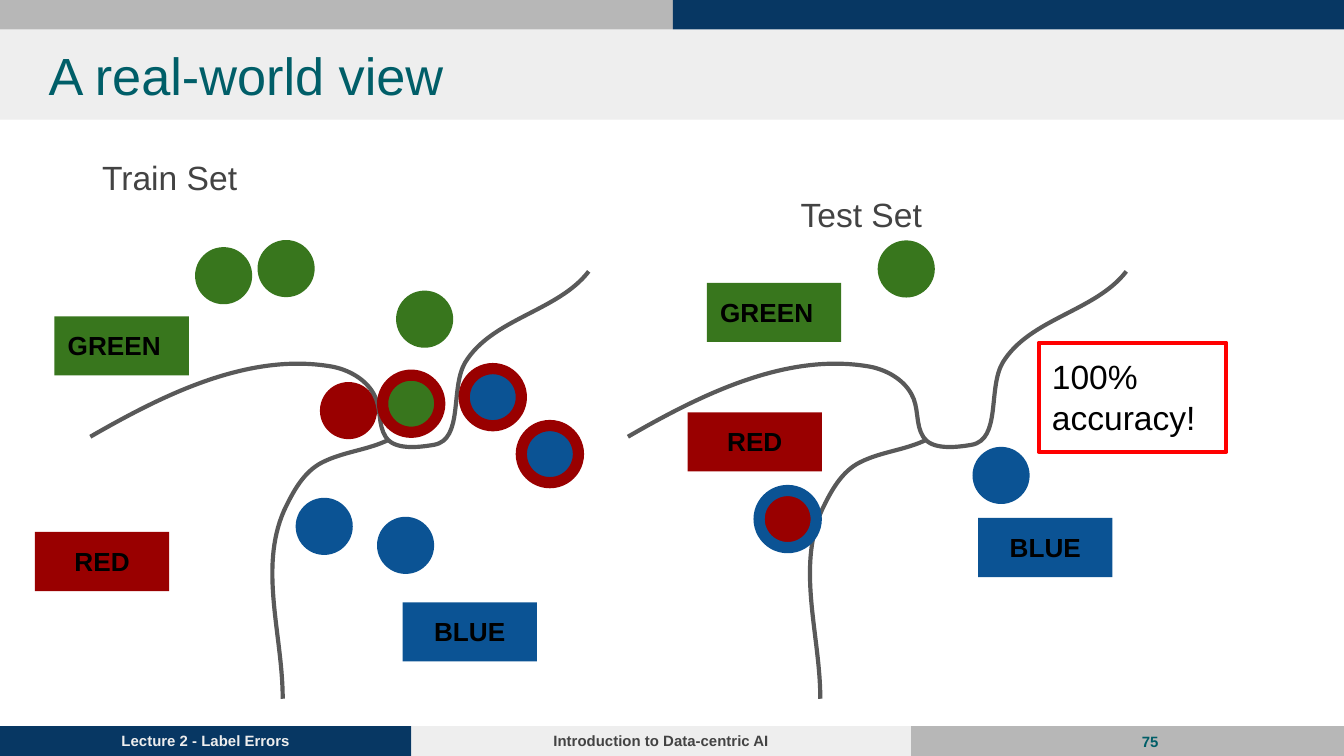
from dataclasses import dataclass

from lxml.etree import SubElement
from pptx import Presentation
from pptx.dml.color import RGBColor
from pptx.enum.shapes import MSO_SHAPE
from pptx.enum.text import MSO_ANCHOR, PP_ALIGN
from pptx.oxml.ns import qn
from pptx.util import Pt

RECT, OVAL = MSO_SHAPE.RECTANGLE, MSO_SHAPE.OVAL
TOP, MIDDLE = MSO_ANCHOR.TOP, MSO_ANCHOR.MIDDLE
LEFT, CENTER, RIGHT = PP_ALIGN.LEFT, PP_ALIGN.CENTER, PP_ALIGN.RIGHT


@dataclass(frozen=True)
class Theme:
    font: str = "Arial"
    navy: str = "073763"
    silver: str = "B7B7B7"
    pale: str = "EEEEEE"
    teal: str = "005E68"
    body: str = "434343"
    curve: str = "595959"
    black: str = "000000"
    alert: str = "FF0000"
    green: str = "38761D"
    red: str = "990000"
    blue: str = "0B5394"
    title_size: float = 28
    body_size: float = 18
    label_size: float = 14
    footer_size: float = 8


THEME = Theme()
DOT = 30.6
RING = 6
PANEL_SHIFT = 288
UPPER_EXTENT = ((48.4, 145.4), (315.4, 239.6))
UPPER_BOUNDARY = [
    (48.4, 234), (87.1, 211.7), (133.2, 188.6), (177.8, 196.4),
    (186.5, 198), (195.8, 203), (200.2, 211),
    (204.5, 218.2), (202.3, 227.5), (206.6, 234),
    (211, 241.2), (223.9, 239.8), (232.6, 238.3),
    (248.4, 235.4), (241.2, 208.1), (249.1, 194.4),
    (263.5, 170.6), (298.8, 167), (315.4, 145.4),
]
LOWER_EXTENT = ((145.7, 235.4), (208.8, 374.4))
LOWER_BOUNDARY = [
    (208.8, 235.4), (197.3, 241.2), (184.3, 241.9), (172.8, 247.7),
    (162.7, 252.7), (157, 263.5), (152.2, 273.6),
    (138.5, 304.6), (151.5, 340.6), (151.5, 374.4),
]


def rgb(color):
    return RGBColor.from_string(color)


def write(shape, text, size, color, bold=False, align=LEFT, anchor=TOP, indent=0):
    frame = shape.text_frame
    frame.word_wrap = True
    frame.vertical_anchor = anchor
    frame.margin_left = Pt(7.2 + indent)
    frame.margin_right = frame.margin_top = frame.margin_bottom = Pt(7.2)
    frame.text = text
    paragraph = frame.paragraphs[0]
    paragraph.alignment = align
    font = paragraph.runs[0].font
    font.name, font.size, font.bold = THEME.font, Pt(size), bold
    font.color.rgb = rgb(color)
    return paragraph


def add_text(slide, box, text, size, color, **style):
    holder = slide.shapes.add_textbox(*map(Pt, box))
    return write(holder, text, size, color, **style)


def add_block(slide, kind, box, fill=None, outline=None, weight=0):
    block = slide.shapes.add_shape(kind, *map(Pt, box))
    block.shadow.inherit = False
    if fill:
        block.fill.solid()
        block.fill.fore_color.rgb = rgb(fill)
    else:
        block.fill.background()
    if outline:
        block.line.color.rgb = rgb(outline)
        block.line.width = Pt(weight)
    else:
        block.line.fill.background()
    return block


def add_dot(slide, x, y, fill, ring=None):
    add_block(slide, OVAL, (x, y, DOT, DOT), fill, ring, RING)


def add_label(slide, x, y, text, fill, align=CENTER):
    label = add_block(slide, RECT, (x, y, 72, 31.7), fill)
    write(label, text, THEME.label_size, THEME.black, bold=True, align=align)


def bend(boundary, controls, origin):
    """Replace the outline of a freeform with a chain of cubic Bezier segments."""
    outline = boundary._element.xpath(".//a:path")[0]
    for command in list(outline):
        outline.remove(command)
    segments = [("a:moveTo", controls[:1])]
    segments += [("a:cubicBezTo", controls[i:i + 3]) for i in range(1, len(controls), 3)]
    for tag, points in segments:
        command = SubElement(outline, qn(tag))
        for x, y in points:
            point = SubElement(command, qn("a:pt"))
            point.set("x", str(int(Pt(x - origin[0]))))
            point.set("y", str(int(Pt(y - origin[1]))))


def add_boundary(slide, controls, extent, shift):
    start, end = [(Pt(x + shift), Pt(y)) for x, y in extent]
    builder = slide.shapes.build_freeform(*start)
    builder.add_line_segments([end], close=False)
    boundary = builder.convert_to_shape()
    bend(boundary, controls, extent[0])
    boundary.shadow.inherit = False
    boundary.fill.background()
    boundary.line.color.rgb = rgb(THEME.curve)
    boundary.line.width = Pt(2.25)


def add_frame(slide):
    for box, fill in (
        ((0, 15.8, 720, 48.4), THEME.pale),
        ((488, 389, 232, 16), THEME.silver),
        ((0, 0, 360.5, 15.8), THEME.silver),
        ((360.5, 0, 359.5, 15.8), THEME.navy),
    ):
        add_block(slide, RECT, box, fill)
    for box, fill, text, color in (
        ((0, 389, 220.4, 16), THEME.navy, "Lecture 2 - Label Errors", THEME.pale),
        ((220.4, 389, 267.6, 16), THEME.pale, "Introduction to Data-centric AI", THEME.body),
    ):
        footer = add_block(slide, RECT, box, fill)
        write(footer, text, THEME.footer_size, color, bold=True, align=CENTER, anchor=MIDDLE)
    add_text(slide, (18.9, 15.8, 671, 48.4), "A real-world view", THEME.title_size, THEME.teal)
    add_text(slide, (573, 381.8, 54.7, 31), "75", THEME.footer_size, THEME.teal,
             bold=True, align=RIGHT, anchor=MIDDLE)


def add_heading(slide, box, text):
    heading = add_text(slide, box, text, THEME.body_size, THEME.body, indent=34.5)
    heading.line_spacing = 1.15
    heading.space_after = Pt(16)


def main():
    deck = Presentation()
    deck.slide_width, deck.slide_height = Pt(720), Pt(405)
    slide = deck.slides.add_slide(deck.slide_layouts[6])
    green, red, blue = THEME.green, THEME.red, THEME.blue

    add_frame(slide)
    add_heading(slide, (13, 73.4, 671, 237.6), "Train Set")
    add_heading(slide, (387.2, 93.6, 203.8, 35.3), "Test Set")

    for x, y, fill in (
        (202, 276.9, blue), (158.4, 266.7, blue), (171.4, 204.7, red),
        (104.5, 132.4, green), (138, 128.6, green), (212.2, 155.7, green),
        (521, 239.4, blue), (470.2, 128.8, green),
    ):
        add_dot(slide, x, y, fill)

    for shift in (0, PANEL_SHIFT):
        add_boundary(slide, UPPER_BOUNDARY, UPPER_EXTENT, shift)
        add_boundary(slide, LOWER_BOUNDARY, LOWER_EXTENT, shift)

    for red_at, blue_at, green_at in (
        ((18.7, 285), (215.7, 322.7), (29.2, 169.5)),
        ((368.4, 220.9), (524, 277.5), (378.7, 151.5)),
    ):
        add_label(slide, *red_at, "RED", red)
        add_label(slide, *blue_at, "BLUE", blue)
        add_label(slide, *green_at, "GREEN", green, align=LEFT)

    for x, y, fill, ring in (
        (205, 201, green, red), (248.7, 197.5, blue, red),
        (279.3, 228, blue, red), (406.7, 262.8, red, blue),
    ):
        add_dot(slide, x, y, fill, ring)

    verdict = add_block(slide, RECT, (556.4, 183.7, 100.6, 58.4), None, THEME.alert, 2.25)
    write(verdict, "100% accuracy!", THEME.body_size, THEME.black)
    deck.save("out.pptx")


if __name__ == "__main__":
    main()
